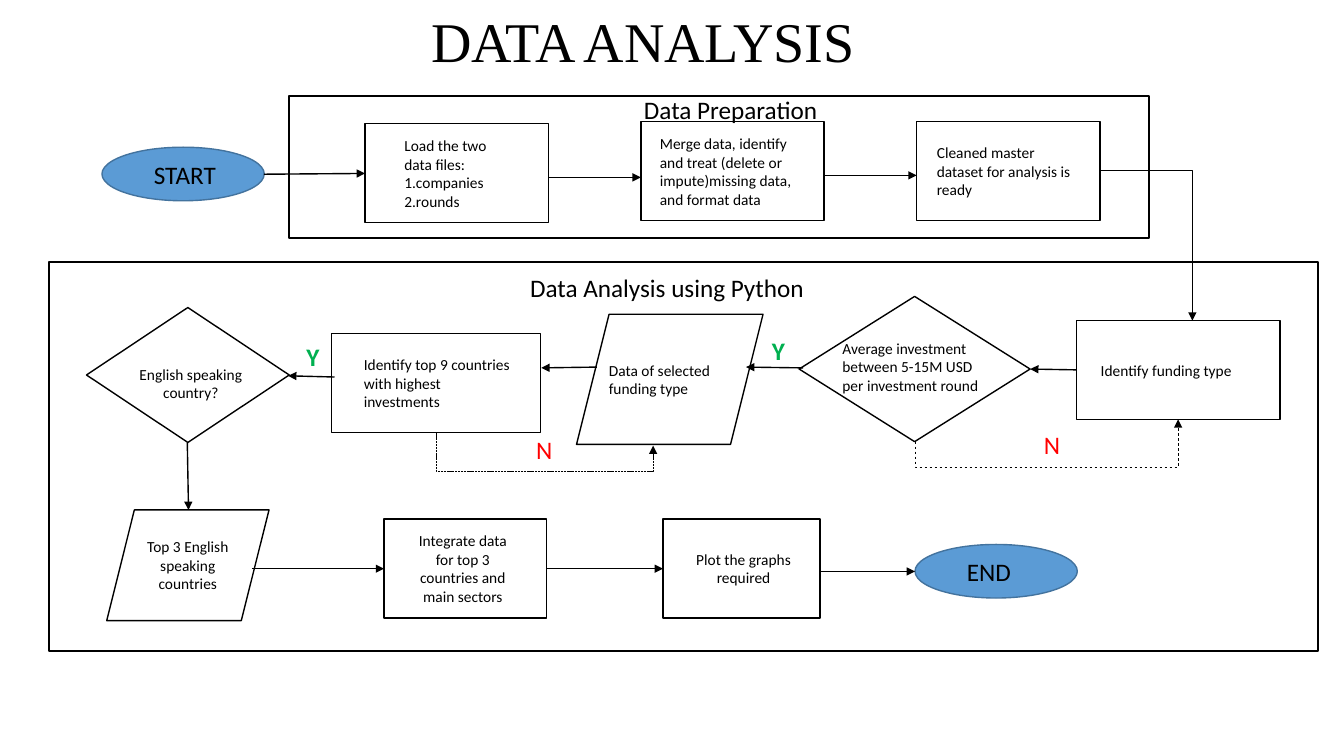
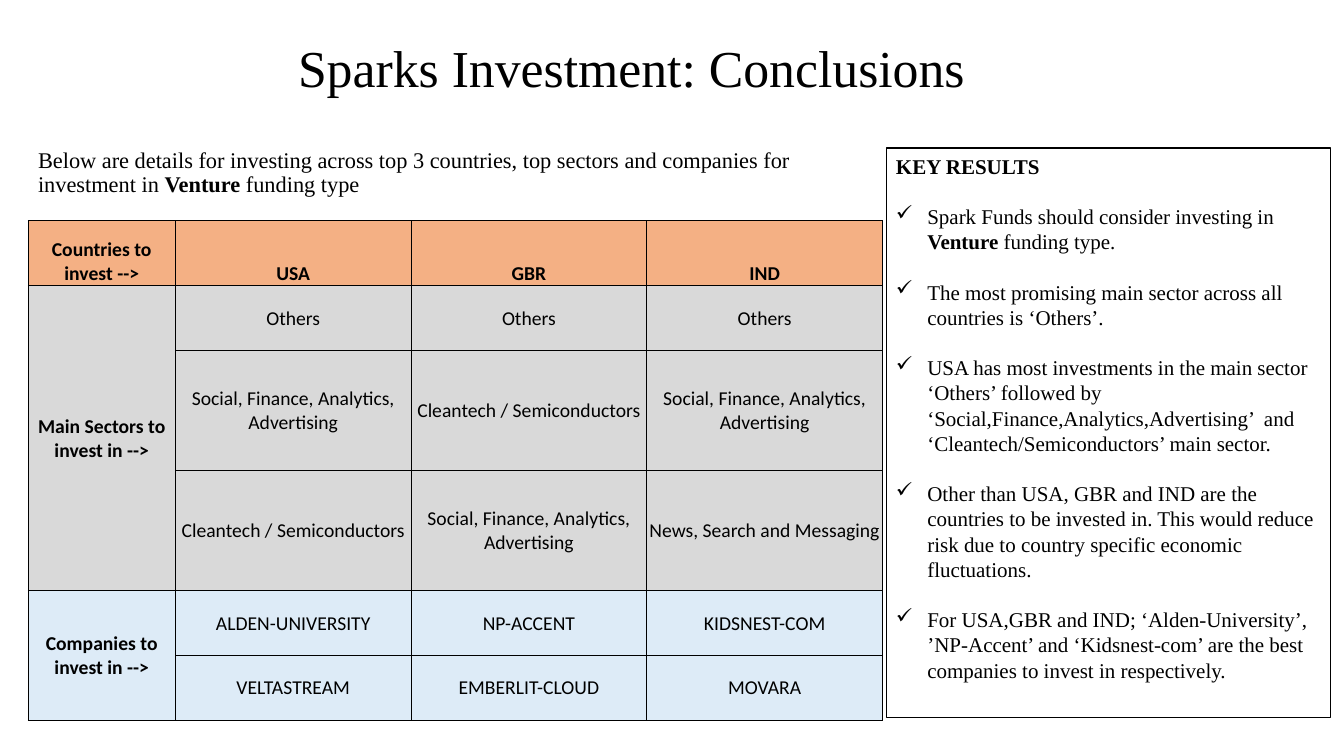
"""Build a data analysis flowchart slide and an investment conclusions slide."""
import pptx
import pptx.util
import pptx.dml.color
import pptx.enum.dml
import pptx.enum.shapes
import pptx.enum.text
import pptx.oxml
import pptx.oxml.ns
from lxml import etree

Cm, Pt = pptx.util.Cm, pptx.util.Pt
SHAPE = pptx.enum.shapes.MSO_SHAPE
CONNECTOR = pptx.enum.shapes.MSO_CONNECTOR
DASH = pptx.enum.dml.MSO_LINE
ALIGN = pptx.enum.text.PP_ALIGN
ANCHOR = pptx.enum.text.MSO_ANCHOR
qn = pptx.oxml.ns.qn

COLORS = {
    "ink": "000000", "terminal": "5B9BD5", "terminal_edge": "43739E",
    "yes": "00B050", "no": "FF0000",
    "countries": "F4B084", "sectors": "D9D9D9", "companies": "DDEBF7",
}
SERIF, SANS = "Times New Roman", "Calibri"

FLOW_TITLE = ("DATA ANALYSIS", (10.62, 0, 20.9, 2.24), 40)
CONCLUSIONS_TITLE = ("Sparks Investment: Conclusions", (7.26, 0.84, 18.19, 1.9), 37)

PANELS = [(7.29, 2.41, 21.67, 3.58), (1.24, 6.6, 31.98, 9.8)]

STEPS = [
    (SHAPE.RECTANGLE, (9.2, 3.12, 4.62, 2.49), (0.99, 0.99), ALIGN.LEFT,
     ["Load the two data files:", "1.companies", "2.rounds"]),
    (SHAPE.RECTANGLE, (16.15, 3.07, 4.62, 2.49), (0.48, 0.48), ALIGN.LEFT,
     ["Merge data, identify and treat (delete or impute)missing data, and format data"]),
    (SHAPE.RECTANGLE, (23.1, 3.07, 4.62, 2.49), (0.51, 0.6), ALIGN.LEFT,
     ["Cleaned master dataset for analysis is ready"]),
    (SHAPE.RECTANGLE, (27.13, 8.08, 5.13, 2.49), (0.61, 0.25), ALIGN.LEFT,
     ["Identify funding type"]),
    (SHAPE.DIAMOND, (20.14, 7.47, 5.82, 3.66), (0, 0), ALIGN.LEFT, []),
    (SHAPE.PARALLELOGRAM, (14.53, 7.92, 4.7, 3.28), (0.08, 0), ALIGN.LEFT,
     ["Data of selected funding type"]),
    (SHAPE.RECTANGLE, (8.36, 8.41, 5.26, 2.49), (0.81, 0.54), ALIGN.LEFT,
     ["Identify top 9 countries with highest investments"]),
    (SHAPE.DIAMOND, (2.18, 7.75, 5.11, 3.4), (0, 0), ALIGN.CENTER, []),
    (SHAPE.PARALLELOGRAM, (2.69, 12.85, 4.09, 2.79), (0, 0), ALIGN.CENTER,
     ["Top 3 English speaking", "countries"]),
    (SHAPE.RECTANGLE, (9.68, 13.08, 4.09, 2.49), (0.66, 0.78), ALIGN.CENTER,
     ["Integrate data for top 3 countries and main sectors"]),
    (SHAPE.RECTANGLE, (16.71, 13.08, 3.96, 2.49), (0.7, 0.6), ALIGN.CENTER,
     ["Plot the graphs required"]),
]
TERMINALS = [("START", 2.57, 3.71), ("END", 23.06, 13.72)]
TERMINAL_SIZE = (4.09, 1.35)

DECISIONS = [
    ("Average investment between 5-15M USD per investment round",
     (20.98, 8.41, 4.39, 1.68), ALIGN.LEFT),
    ("English speaking country?", (3.07, 9.07, 3.48, 1.19), ALIGN.CENTER),
]
HEADINGS = [
    ("Data Preparation", (15.98, 2.24, 4.98, 1.02)),
    ("Data Analysis using Python", (13.11, 6.73, 8.2, 1.02)),
]
ANSWERS = [
    ("N", "no", 26.06, 10.69), ("N", "no", 13.26, 10.82),
    ("Y", "yes", 19.2, 8.31), ("Y", "yes", 7.47, 8.46),
]

ARROWS = [
    ((6.65, 4.39), (9.2, 4.37)), ((13.84, 4.47), (16.15, 4.47)),
    ((20.78, 4.42), (23.1, 4.42)), ((27.13, 9.32), (25.96, 9.3)),
    ((20.24, 9.27), (18.8, 9.25)), ((15.04, 9.25), (13.64, 9.27)),
    ((8.43, 9.5), (7.26, 9.47)), ((4.72, 11.15), (4.75, 12.85)),
    ((6.35, 14.33), (9.68, 14.33)), ((13.77, 14.33), (16.71, 14.33)),
    ((20.65, 14.4), (23.06, 14.4)),
]
HANDOVER = ((27.71, 4.29), (30.05, 8.08))
LOOPS = [
    ((11, 10.9), (16.46, 11.23), 0.97, DASH.SQUARE_DOT),
    ((23.06, 11.13), (29.69, 10.57), 0.64, DASH.DASH),
]

INTRO = ("Below are details for investing across top 3 countries, top sectors and "
         "companies for investment in *Venture* funding type")
INVESTMENTS = [
    ("countries", "Countries to invest -->", 1.63, ["USA", "GBR", "IND"]),
    ("sectors", "Main Sectors to invest in -->", 1.63, ["Others"] * 3),
    ("sectors", "", 3.03, ["Social, Finance, Analytics, Advertising",
                           "Cleantech / Semiconductors",
                           "Social, Finance, Analytics, Advertising"]),
    ("sectors", "", 3.03, ["Cleantech / Semiconductors",
                           "Social, Finance, Analytics, Advertising",
                           "News, Search and Messaging"]),
    ("companies", "Companies to invest in -->", 1.63,
     ["ALDEN-UNIVERSITY", "NP-ACCENT", "KIDSNEST-COM"]),
    ("companies", "", 1.63, ["VELTASTREAM", "EMBERLIT-CLOUD", "MOVARA"]),
]
COLUMN_WIDTHS = [3.71, 5.94, 5.94, 5.94]
MERGED_ROWS = [(1, 3), (4, 5)]
KEY_RESULTS = [
    "Spark Funds should consider investing in *Venture* funding type.",
    "The most promising main sector across all countries is ‘Others’.",
    "USA has most investments in the main sector ‘Others’ followed by "
    "‘Social,Finance,Analytics,Advertising’  and ‘Cleantech/Semiconductors’ main sector.",
    "Other than USA, GBR and IND are the countries to be invested in. This would reduce "
    "risk due to country specific economic fluctuations.",
    "For USA,GBR and IND; ‘Alden-University’, ’NP-Accent’ and ‘Kidsnest-com’ are the "
    "best companies to invest in respectively.",
]


def rgb(name):
    """Return the named colour."""
    return pptx.dml.color.RGBColor.from_string(COLORS[name])


def place(box):
    """Convert a box in centimetres to lengths."""
    return [Cm(value) for value in box]


def write(frame, lines, size=11, font=SANS, color="ink", bold=False, align=ALIGN.LEFT,
          anchor=ANCHOR.TOP, margins=(0.25, 0.13, 0.25, 0.13), spacing=None):
    """Fill a text frame; text between asterisks is bold."""
    frame.word_wrap = True
    frame.vertical_anchor = anchor
    (frame.margin_left, frame.margin_top,
     frame.margin_right, frame.margin_bottom) = place(margins)
    for number, line in enumerate(lines):
        paragraph = frame.add_paragraph() if number else frame.paragraphs[0]
        paragraph.alignment = align
        if spacing:
            paragraph.line_spacing = spacing
        for part, text in enumerate(line.split("*")):
            if text:
                run = paragraph.add_run()
                run.text = text
                run.font.name, run.font.size = font, Pt(size)
                run.font.bold = bold or part % 2 == 1
                run.font.color.rgb = rgb(color)


def add_titled_slide(deck, title, box, size):
    """Add a title-only slide with the shared title style."""
    slide = deck.slides.add_slide(deck.slide_layouts[5])
    heading = slide.shapes.title
    heading.left, heading.top, heading.width, heading.height = place(box)
    write(heading.text_frame, [title], size=size, font=SERIF,
          anchor=ANCHOR.MIDDLE, spacing=0.9)
    return slide


def add_label(slide, text, box, **style):
    """Add a text box."""
    write(slide.shapes.add_textbox(*place(box)).text_frame, [text], **style)


def add_outline(slide, kind, box, width=1, fill=None, edge="ink"):
    """Add an outlined shape."""
    shape = slide.shapes.add_shape(kind, *place(box))
    shape.shadow.inherit = False
    if fill:
        shape.fill.solid()
        shape.fill.fore_color.rgb = rgb(fill)
    else:
        shape.fill.background()
    shape.line.color.rgb = rgb(edge)
    shape.line.width = Pt(width)
    return shape


def add_arrow(slide, start, end, kind=CONNECTOR.STRAIGHT, width=1, dash=None):
    """Add a connector with an arrowhead at its end."""
    arrow = slide.shapes.add_connector(kind, *place(start + end))
    arrow.line.color.rgb = rgb("ink")
    arrow.line.width = Pt(width)
    if dash:
        arrow.line.dash_style = dash
    properties = arrow._element.spPr
    etree.SubElement(properties.find(qn("a:ln")), qn("a:tailEnd"), type="triangle")
    etree.SubElement(properties, qn("a:effectLst"))
    return properties


def add_loop(slide, start, end, depth, dash):
    """Add an elbow arrow that dips below its start and returns up to its end."""
    (x1, y1), (x2, y2) = start, end
    middle_x, middle_y = (x1 + x2) / 2, (y1 + y2) / 2
    half_w, half_h = abs(y2 - y1) / 2, abs(x2 - x1) / 2
    properties = add_arrow(slide, (middle_x - half_w, middle_y - half_h),
                           (middle_x + half_w, middle_y + half_h),
                           CONNECTOR.ELBOW, 0.5, dash)
    frame = properties.find(qn("a:xfrm"))
    frame.set("rot", "5400000")
    frame.set("flipV", "1")
    if y2 < y1:
        frame.set("flipH", "1")
    guides = properties.find(qn("a:prstGeom")).find(qn("a:avLst"))
    bend = round(depth / (y2 - y1) * 100000)
    etree.SubElement(guides, qn("a:gd"), name="adj1", fmla=f"val {bend}")


def add_cell_borders(cell):
    """Draw a thin border on each side of a cell."""
    properties = cell._tc.get_or_add_tcPr()
    for index, side in enumerate(("lnL", "lnR", "lnT", "lnB")):
        border = etree.Element(qn(f"a:{side}"), w=str(Pt(0.5)))
        fill = etree.SubElement(border, qn("a:solidFill"))
        etree.SubElement(fill, qn("a:srgbClr"), val=COLORS["ink"])
        properties.insert(index, border)


def build_flow(deck):
    """Build the flowchart slide."""
    slide = add_titled_slide(deck, *FLOW_TITLE)
    for box in PANELS:
        add_outline(slide, SHAPE.RECTANGLE, box, width=1.5)
    for kind, box, (left, right), align, lines in STEPS:
        step = add_outline(slide, kind, box)
        write(step.text_frame, lines, align=align, anchor=ANCHOR.MIDDLE,
              margins=(left, 0, right, 0))
    for text, left, top in TERMINALS:
        terminal = add_outline(slide, SHAPE.OVAL, (left, top) + TERMINAL_SIZE,
                               fill="terminal", edge="terminal_edge")
        write(terminal.text_frame, [text], size=18, anchor=ANCHOR.MIDDLE,
              margins=(0.71, 0, 0, 0))
    for text, box, align in DECISIONS:
        add_label(slide, text, box, align=align)
    for text, box in HEADINGS:
        add_label(slide, text, box, size=18)
    for text, color, left, top in ANSWERS:
        add_label(slide, text, (left, top, 1.52, 1.02), size=18, color=color,
                  bold=color == "yes")
    for start, end in ARROWS:
        add_arrow(slide, start, end)
    handover = add_arrow(slide, *HANDOVER, kind=CONNECTOR.ELBOW, width=0.5)
    handover.find(qn("a:prstGeom")).set("prst", "bentConnector2")
    for loop in LOOPS:
        add_loop(slide, *loop)


def add_investments(slide):
    """Add the table of countries, sectors and companies."""
    heights = [row[2] for row in INVESTMENTS]
    box = (0.71, 5.56, sum(COLUMN_WIDTHS), sum(heights))
    table = slide.shapes.add_table(len(heights), len(COLUMN_WIDTHS), *place(box)).table
    table.first_row = table.horz_banding = False
    for column, width in zip(table.columns, COLUMN_WIDTHS):
        column.width = Cm(width)
    for first, last in MERGED_ROWS:
        table.cell(first, 0).merge(table.cell(last, 0))
    for row, (group, heading, height, values) in enumerate(INVESTMENTS):
        table.rows[row].height = Cm(height)
        for column, text in enumerate([heading] + values):
            cell = table.cell(row, column)
            cell.fill.solid()
            cell.fill.fore_color.rgb = rgb(group)
            add_cell_borders(cell)
            write(cell.text_frame, [text], size=14, align=ALIGN.CENTER,
                  bold=row == 0 or column == 0)
            cell.vertical_anchor = ANCHOR.MIDDLE if row else ANCHOR.BOTTOM
            cell.margin_left = cell.margin_right = cell.margin_top = Cm(0.03)
            cell.margin_bottom = 0


def add_key_results(slide):
    """Add the framed list of key results."""
    panel = add_outline(slide, SHAPE.RECTANGLE, (22.33, 3.73, 11.2, 14.35), width=0.75)
    write(panel.text_frame, ["*KEY RESULTS*"] + KEY_RESULTS, size=15, font=SERIF,
          spacing=Pt(18))
    for paragraph in panel.text_frame.paragraphs[1:]:
        paragraph.space_before = Pt(18)
        properties = paragraph._p.get_or_add_pPr()
        properties.set("marL", str(Cm(0.79)))
        properties.set("indent", str(Cm(-0.79)))
        etree.SubElement(properties, qn("a:buChar"), char="✓")


def build_conclusions(deck):
    """Build the conclusions slide."""
    slide = add_titled_slide(deck, *CONCLUSIONS_TITLE)
    add_label(slide, INTRO, (0.71, 3.18, 20.47, 2.39), size=16, font=SERIF,
              anchor=ANCHOR.MIDDLE, spacing=0.9)
    add_investments(slide)
    add_key_results(slide)


def main():
    """Build and save the deck."""
    deck = pptx.Presentation()
    deck.slide_width, deck.slide_height = Cm(33.87), Cm(19.05)
    build_flow(deck)
    build_conclusions(deck)
    deck.save("out.pptx")


if __name__ == "__main__":
    main()
